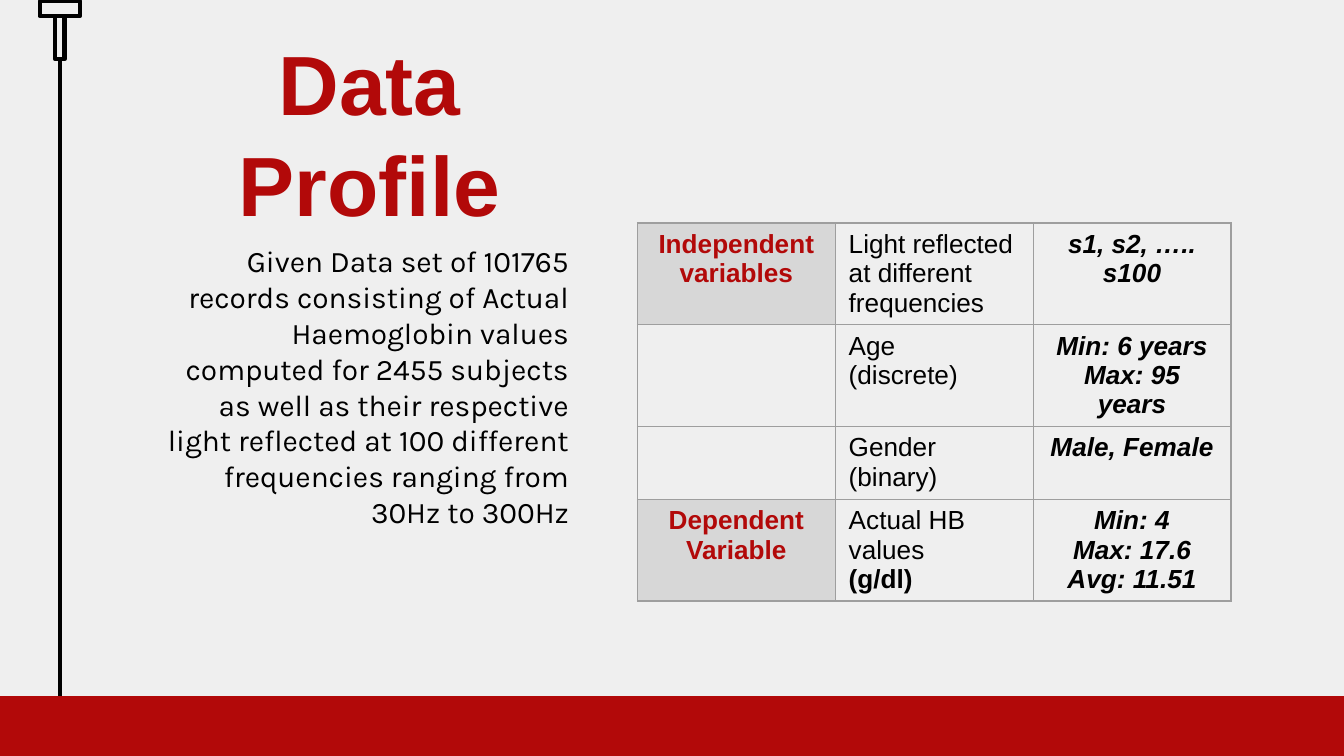
import dataclasses

import lxml.etree
import pptx
import pptx.dml.color
import pptx.enum.shapes
import pptx.enum.text
import pptx.oxml.ns
import pptx.util

Pt = pptx.util.Pt
Align = pptx.enum.text.PP_ALIGN
Shape = pptx.enum.shapes.MSO_SHAPE


@dataclasses.dataclass(frozen=True)
class Theme:
    """Colours, fonts and type sizes."""
    back: str = "EFEFEF"
    red: str = "B20909"
    ink: str = "000000"
    gray: str = "D7D7D7"
    rule: str = "9E9E9E"
    sans: str = "Arial"
    text: str = "Karla"
    title: float = 45
    body: float = 16
    cell: float = 14


THEME = Theme()

ROWS = [
    (["Independent variables"], ["Light reflected at different frequencies"],
     ["s1, s2, ….. s100"]),
    ([], ["Age", "(discrete)"], ["Min: 6 years", "Max: 95 years"]),
    ([], ["Gender", "(binary)"], ["Male, Female"]),
    (["Dependent Variable"], ["Actual HB values", "(g/dl)"],
     ["Min: 4", "Max: 17.6", "Avg: 11.51"]),
]
HEIGHTS = [54.5, 54.5, 39, 54.5]
BODY = ("Given Data set of 101765 records consisting of Actual Haemoglobin "
        "values computed for 2455 subjects as well as their respective light "
        "reflected at 100 different frequencies ranging from 30Hz to 300Hz")


def rgb(code):
    """Return a colour object for a hex code."""
    return pptx.dml.color.RGBColor.from_string(code)


def node(parent, tag, **attrs):
    """Append a drawing element to a parent."""
    return lxml.etree.SubElement(parent, pptx.oxml.ns.qn(tag), attrs)


def add_run(para, text, size, font, color, bold=False, italic=False):
    """Add one formatted run to a paragraph."""
    run = para.add_run()
    run.text = text
    run.font.size = Pt(size)
    run.font.name = font
    run.font.color.rgb = rgb(color)
    run.font.bold = bold
    run.font.italic = italic


def place(holder, box, inset, anchor):
    """Move a placeholder and return its first paragraph."""
    holder.left, holder.top, holder.width, holder.height = map(Pt, box)
    frame = holder.text_frame
    frame.word_wrap = True
    frame.auto_size = pptx.enum.text.MSO_AUTO_SIZE.NONE
    frame.vertical_anchor = anchor
    frame.margin_left = frame.margin_right = Pt(inset)
    frame.margin_top = frame.margin_bottom = Pt(7.2)
    para = frame.paragraphs[0]
    para.space_before = Pt(0)
    return para


def add_title(slide, box):
    """Fill the title placeholder."""
    para = place(slide.shapes.title, box, 12,
                 pptx.enum.text.MSO_ANCHOR.MIDDLE)
    para.alignment = Align.CENTER
    para.line_spacing = Pt(54)
    add_run(para, "Data Profile", THEME.title, THEME.sans, THEME.red, True)


def add_body(slide, box):
    """Fill the body placeholder."""
    para = place(slide.placeholders[1], box, 7.2,
                 pptx.enum.text.MSO_ANCHOR.TOP)
    para.alignment = Align.RIGHT
    para.line_spacing = Pt(19.2)
    props = para._p.get_or_add_pPr()
    props.set("marL", str(Pt(10)))
    props.set("indent", "0")
    node(props, "a:buNone")
    add_run(para, BODY, THEME.body, THEME.text, THEME.ink)


def add_rect(slide, box, fill=None):
    """Draw a filled bar or an outlined box."""
    rect = slide.shapes.add_shape(Shape.RECTANGLE, *map(Pt, box))
    rect.shadow.inherit = False
    if fill:
        rect.fill.solid()
        rect.fill.fore_color.rgb = rgb(fill)
        rect.line.fill.background()
    else:
        rect.fill.background()
        rect.line.color.rgb = rgb(THEME.ink)
        rect.line.width = Pt(2.25)


def add_drip(slide, box):
    """Draw the cap, tube and line down the left edge."""
    left, top, width, height = box
    mid = left + width / 2
    add_rect(slide, (left, top, width, 8))
    add_rect(slide, (mid - 2.5, top + 8, 5, 23))
    line = slide.shapes.add_connector(
        pptx.enum.shapes.MSO_CONNECTOR.STRAIGHT,
        Pt(mid), Pt(top + height), Pt(mid), Pt(top + 31))
    line.line.color.rgb = rgb(THEME.ink)
    line.line.width = Pt(2.25)
    node(line._element.spPr, "a:effectLst")


def style_cell(cell, fill):
    """Set the borders and fill of a cell."""
    props = cell._tc.get_or_add_tcPr()
    for side in ("a:lnL", "a:lnR", "a:lnT", "a:lnB"):
        edge = node(props, side, w=str(Pt(0.75)))
        node(node(edge, "a:solidFill"), "a:srgbClr", val=THEME.rule)
    if fill:
        cell.fill.solid()
        cell.fill.fore_color.rgb = rgb(fill)
    else:
        cell.fill.background()


def add_grid(slide, box):
    """Build the table of variables."""
    grid = slide.shapes.add_table(len(ROWS), 3, *map(Pt, box)).table
    grid.first_row = grid.horz_banding = False
    for col in grid.columns:
        col.width = Pt(box[2] / 3)
    for r, row in enumerate(ROWS):
        grid.rows[r].height = Pt(HEIGHTS[r])
        for c, lines in enumerate(row):
            cell = grid.cell(r, c)
            style_cell(cell, THEME.gray if c == 0 and lines else None)
            frame = cell.text_frame
            for i, text in enumerate(lines):
                para = frame.add_paragraph() if i else frame.paragraphs[0]
                para.alignment = Align.LEFT if c == 1 else Align.CENTER
                add_run(para, text, THEME.cell, THEME.sans,
                        THEME.red if c == 0 else THEME.ink,
                        c != 1 or text == "(g/dl)", c == 2)


def main():
    """Build and save the deck."""
    deck = pptx.Presentation()
    deck.slide_width, deck.slide_height = Pt(720), Pt(405)
    slide = deck.slides.add_slide(deck.slide_layouts[1])
    slide.background.fill.solid()
    slide.background.fill.fore_color.rgb = rgb(THEME.back)
    add_drip(slide, (21.3, 0.7, 21.6, 374))
    add_rect(slide, (-1, 373, 722, 33), THEME.red)
    add_body(slide, (69, 123, 243, 176))
    add_title(slide, (66, 48.5, 264, 45))
    add_grid(slide, (341.5, 119.5, 318, sum(HEIGHTS)))
    deck.save("out.pptx")


if __name__ == "__main__":
    main()
